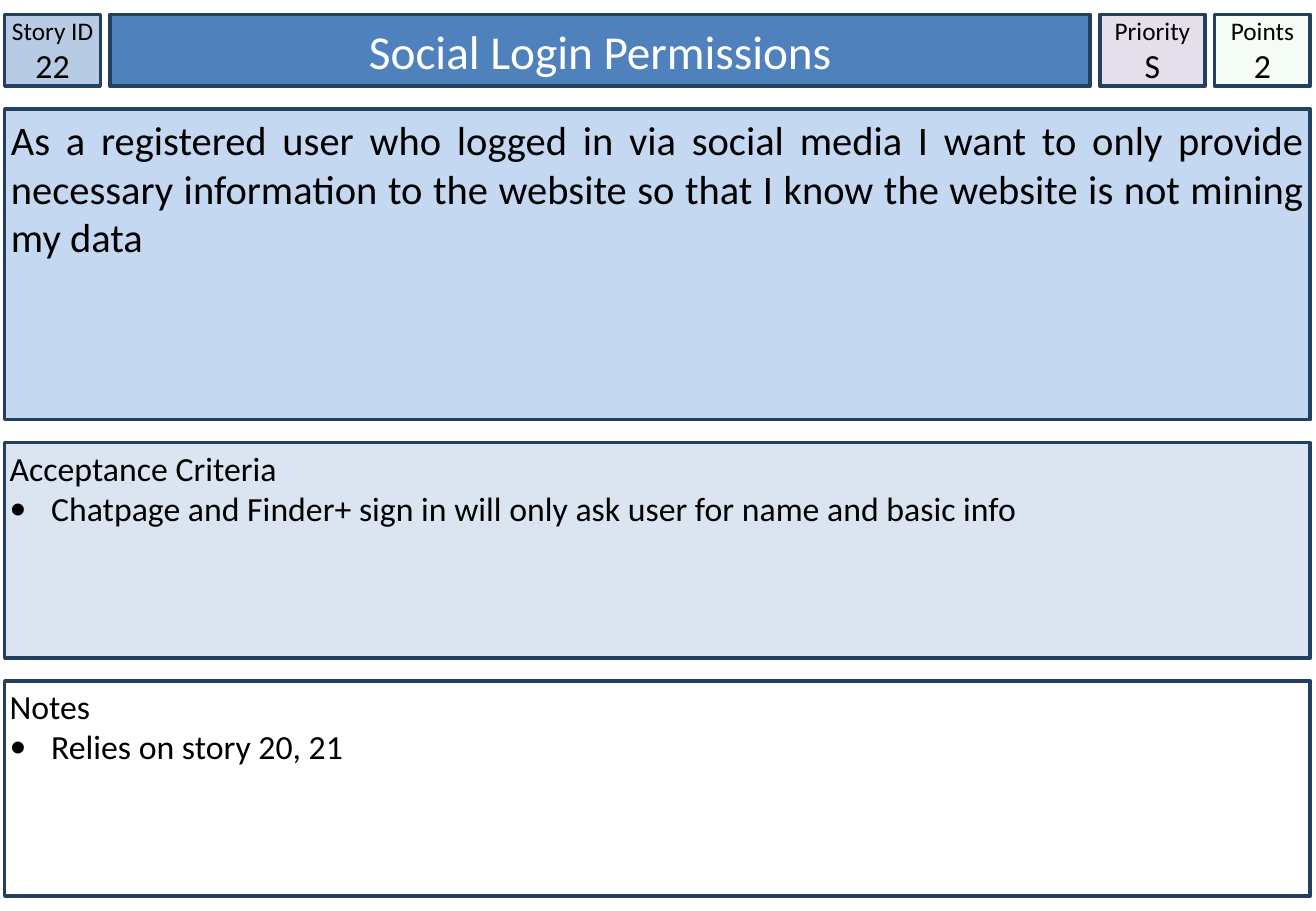
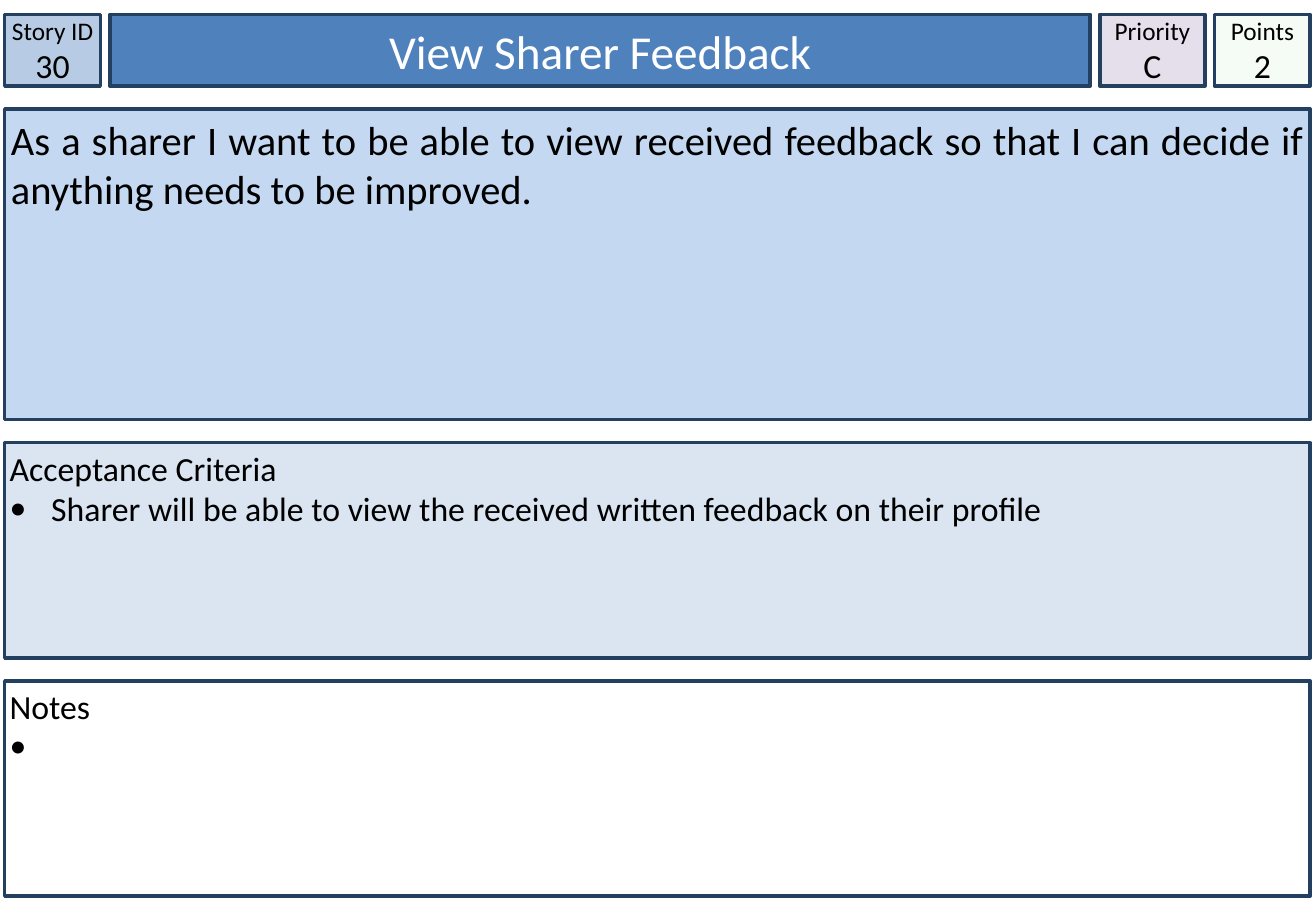
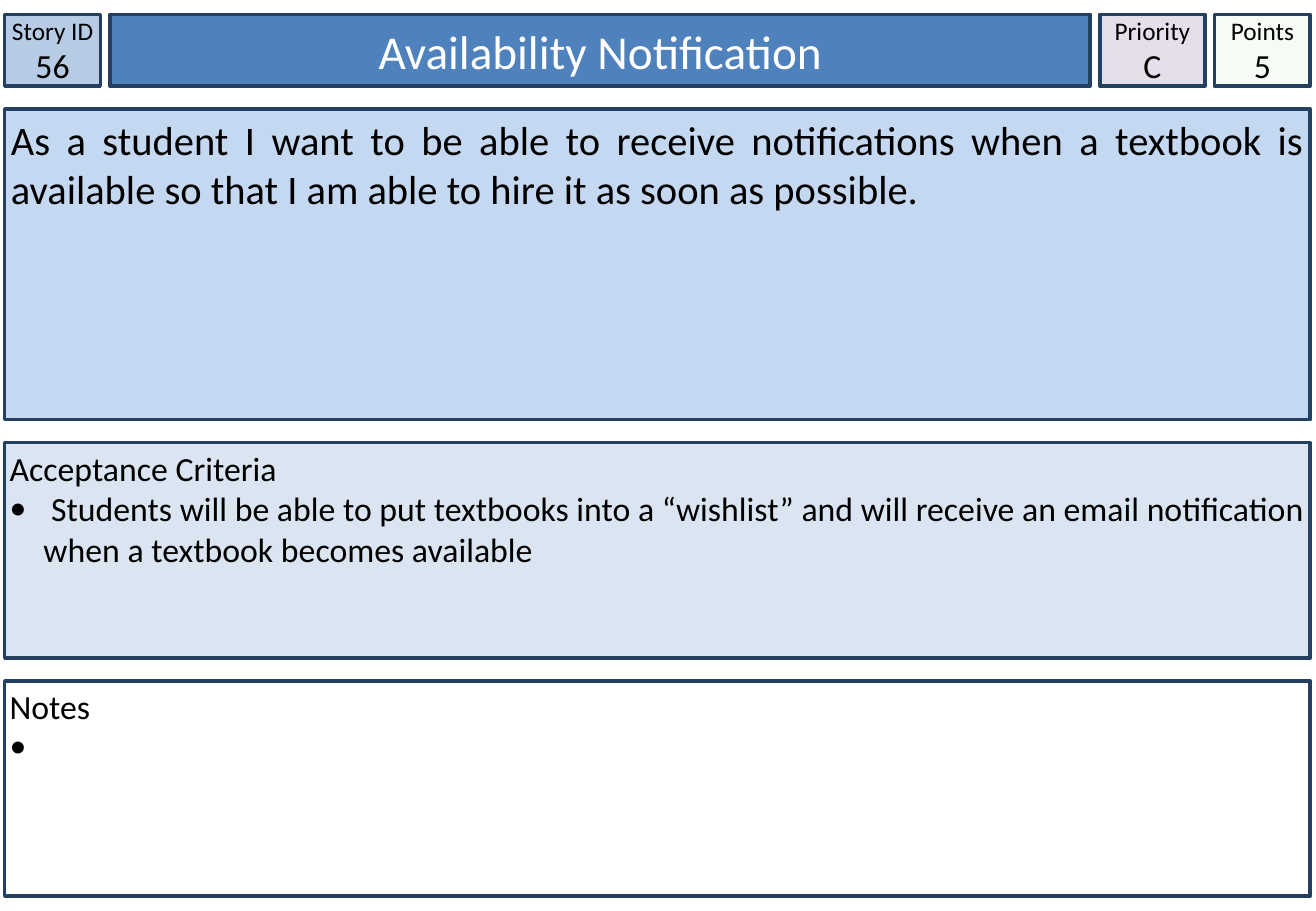
from lxml import etree
from pptx import Presentation
from pptx.dml.color import RGBColor
from pptx.enum.shapes import MSO_SHAPE
from pptx.enum.text import MSO_ANCHOR, PP_ALIGN
from pptx.oxml.ns import qn
from pptx.util import Cm, Pt

RECTANGLE = MSO_SHAPE.RECTANGLE
TOP, MIDDLE = MSO_ANCHOR.TOP, MSO_ANCHOR.MIDDLE
LEFT, CENTER, JUSTIFY = PP_ALIGN.LEFT, PP_ALIGN.CENTER, PP_ALIGN.JUSTIFY

FONT = "Calibri"
BORDER, BLACK, WHITE = "244061", "000000", "FFFFFF"
ID_FILL, TITLE_FILL, PRIORITY_FILL, POINTS_FILL = "B7CCE4", "4F81BD", "E5DFEC", "CCF0CD"
STORY_FILL, CRITERIA_FILL = "C5D8F1", "DAE5F1"
POINTS_OPACITY = 20000

MARGIN, HEADER_TOP, HEADER_HEIGHT = 0.1, 0.3, 1.5
HEADER_GAP, PANEL_GAP = 0.2, 0.48
PANEL_WIDTH = 27.3
BULLET_INDENT = Cm(0.71)

STORIES = [
    {
        "id": "22",
        "title": "Social Login Permissions",
        "priority": "S",
        "points": "2",
        "story": "As a registered user who logged in via social media I want to only provide "
                 "necessary information to the website so that I know the website is not mining my data",
        "criteria": "Chatpage and Finder+ sign in will only ask user for name and basic info",
        "notes": "Relies on story 20, 21",
    },
    {
        "id": "30",
        "title": "View Sharer Feedback",
        "priority": "C",
        "points": "2",
        "story": "As a sharer I want to be able to view received feedback so that I can decide "
                 "if anything needs to be improved.",
        "criteria": "Sharer will be able to view the received written feedback on their profile",
        "notes": "",
    },
    {
        "id": "56",
        "title": "Availability Notification",
        "priority": "C",
        "points": "5",
        "story": "As a student I want to be able to receive notifications when a textbook is "
                 "available so that I am able to hire it as soon as possible.",
        "criteria": "Students will be able to put textbooks into a “wishlist” and will receive "
                    "an email notification when a textbook becomes available",
        "notes": "",
    },
]


def color(value):
    return RGBColor.from_string(value)


def add_box(page, left, top, width, height, fill, lines, align, anchor, inset, ink=BLACK):
    box = page.shapes.add_shape(RECTANGLE, Cm(left), Cm(top), Cm(width), Cm(height))
    box.shadow.inherit = False
    box.fill.solid()
    box.fill.fore_color.rgb = color(fill)
    box.line.color.rgb = color(BORDER)
    box.line.width = Pt(2)
    frame = box.text_frame
    frame_format = {"word_wrap": True, "vertical_anchor": anchor}
    for side in ("left", "top", "right", "bottom"):
        frame_format[f"margin_{side}"] = Cm(inset)
    for name, value in frame_format.items():
        setattr(frame, name, value)
    for index, (text, size, bulleted) in enumerate(lines):
        para = frame.add_paragraph() if index else frame.paragraphs[0]
        para.alignment = align
        if bulleted:
            properties = para._p.get_or_add_pPr()
            properties.set("marL", str(BULLET_INDENT))
            properties.set("indent", str(-BULLET_INDENT))
            bullet_color = etree.SubElement(properties, qn("a:buClr"))
            etree.SubElement(bullet_color, qn("a:srgbClr"), val=BLACK)
            etree.SubElement(properties, qn("a:buFont"), typeface=FONT)
            etree.SubElement(properties, qn("a:buChar"), char="•")
        span = para.add_run()
        span.text = f" {text}" if bulleted else text
        for name, value in {"name": FONT, "size": Pt(size)}.items():
            setattr(span.font, name, value)
        span.font.color.rgb = color(ink)
    return box


deck = Presentation()
deck.slide_width, deck.slide_height = Cm(27.52), Cm(19.05)
blank = deck.slide_layouts[6]

for story in STORIES:
    page = deck.slides.add_slide(blank)

    header = [
        (2, ID_FILL, BLACK, [("Story ID", 15, False), (story["id"], 20, False)]),
        (20.5, TITLE_FILL, WHITE, [(story["title"], 28, False)]),
        (2.2, PRIORITY_FILL, BLACK, [("Priority", 15, False), (story["priority"], 20, False)]),
        (2, POINTS_FILL, BLACK, [("Points", 15, False), (story["points"], 20, False)]),
    ]
    left = MARGIN
    for width, fill, ink, lines in header:
        box = add_box(page, left, HEADER_TOP, width, HEADER_HEIGHT, fill, lines,
                      CENTER, MIDDLE, 0, ink)
        if fill == POINTS_FILL:
            tint = box._element.spPr.find(qn("a:solidFill")).find(qn("a:srgbClr"))
            etree.SubElement(tint, qn("a:alpha"), val=str(POINTS_OPACITY))
        left += width + HEADER_GAP

    panels = [
        (6.5, STORY_FILL, JUSTIFY, 0.13, [(story["story"], 24, False)]),
        (4.5, CRITERIA_FILL, LEFT, 0.1,
         [("Acceptance Criteria", 20, False), (story["criteria"], 20, True)]),
        (4.5, WHITE, LEFT, 0.1, [("Notes", 20, False), (story["notes"], 20, True)]),
    ]
    top = HEADER_TOP + HEADER_HEIGHT + PANEL_GAP
    for height, fill, align, inset, lines in panels:
        add_box(page, MARGIN, top, PANEL_WIDTH, height, fill, lines, align, TOP, inset)
        top += height + PANEL_GAP

deck.save("out.pptx")
